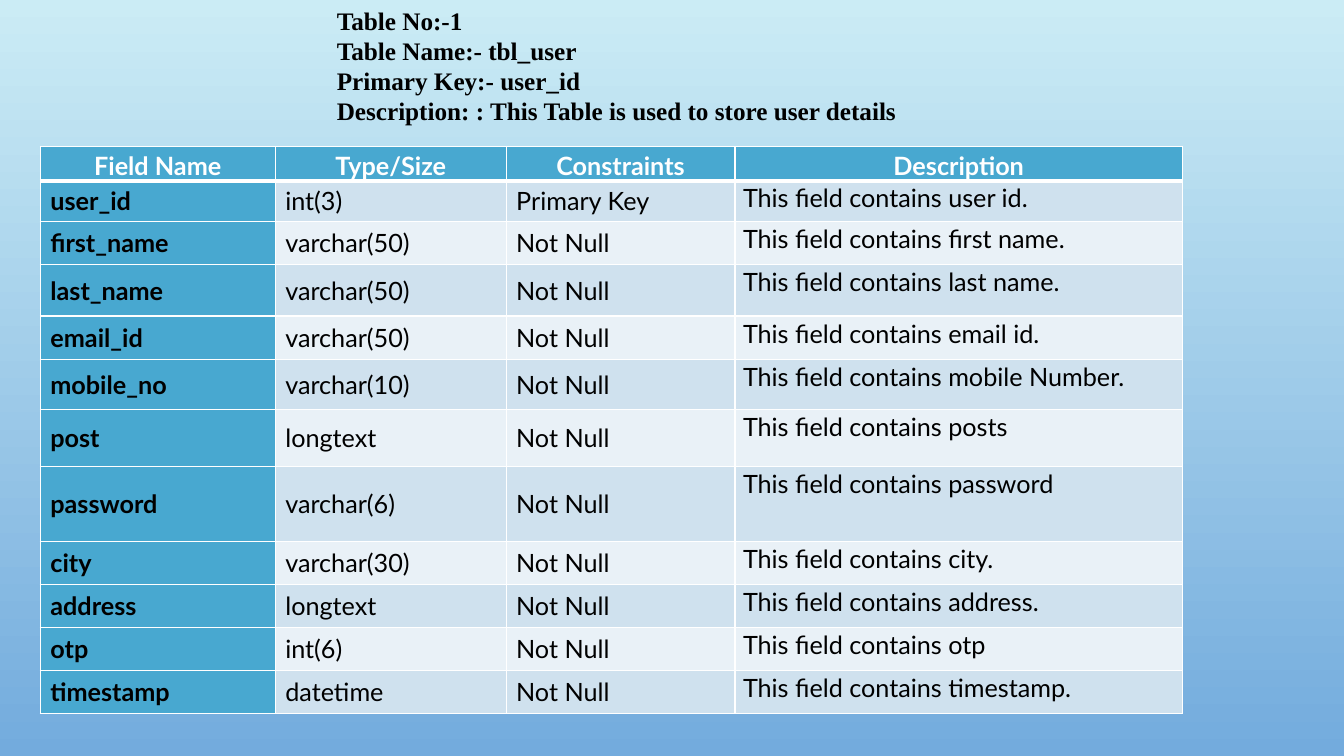
from lxml import etree
from pptx import Presentation, util as u
from pptx.dml.color import RGBColor
from pptx.enum import text
from pptx.oxml.ns import qn

COLORS = {
    "sky": "CBECF5", "horizon": "73ABDD", "accent": "48A8D0",
    "band_dark": "CFE1EE", "band_light": "E9F1F7",
    "ink": "000000", "white": "FFFFFF",
}
SLIDE_SIZE = (13.33, 7.5)
HEADING_BOX = (3.24, 0, 8.5, 1.31)
TABLE_BOX = (0.4, 1.45, 11.33, 5.62)
COLUMN_WIDTHS = (2.33, 2.29, 2.27, 4.44)
ROW_HEIGHTS = (0.34, 0.4, 0.43, 0.51, 0.43, 0.5, 0.56, 0.75, 0.42, 0.43, 0.43, 0.42)

HEADING = [
    "Table No:-1",
    "Table Name:- tbl_user",
    "Primary Key:- user_id",
    "Description: : This Table is used to store user details",
]
HEADERS = ("Field Name", "Type/Size", "Constraints", "Description")
FIELDS = [
    ("user_id", "int(3)", "Primary Key", "user id."),
    ("first_name", "varchar(50)", "Not Null", "first name."),
    ("last_name", "varchar(50)", "Not Null", "last name."),
    ("email_id", "varchar(50)", "Not Null", "email id."),
    ("mobile_no", "varchar(10)", "Not Null", "mobile Number."),
    ("post", "longtext", "Not Null", "posts"),
    ("password", "varchar(6)", "Not Null", "password"),
    ("city", "varchar(30)", "Not Null", "city."),
    ("address", "longtext", "Not Null", "address."),
    ("otp", "int(6)", "Not Null", "otp"),
    ("timestamp", "datetime", "Not Null", "timestamp."),
]

TIGHT_CELL = {
    "margin_left": u.Inches(0.08), "margin_right": u.Inches(0.08),
    "margin_top": 0, "margin_bottom": 0,
}
MIDDLE_CELL = {"vertical_anchor": text.MSO_ANCHOR.MIDDLE}
HEADER_PARAGRAPH = {
    "alignment": text.PP_ALIGN.CENTER, "line_spacing": 1.15, "space_after": u.Pt(8),
}
DESCRIPTION_PARAGRAPH = {"line_spacing": 1.07, "space_after": u.Pt(8)}


def color(name):
    return RGBColor.from_string(COLORS[name])


def apply(target, values):
    for name, value in values.items():
        setattr(target, name, value)


def format_font(font, family, color_name, bold):
    apply(font, {"name": family, "size": u.Pt(18), "bold": bold})
    font.color.rgb = color(color_name)


def set_borders(cell, widths):
    properties = cell._tc.get_or_add_tcPr()
    for index, (side, points) in enumerate(widths.items()):
        line = etree.Element(qn("a:ln" + side), w=str(u.Pt(points)))
        fill = etree.SubElement(line, qn("a:solidFill"))
        etree.SubElement(fill, qn("a:srgbClr"), val=COLORS["white"])
        properties.insert(index, line)


def paint_background(slide):
    fill = slide.background.fill
    fill.gradient()
    fill.gradient_angle = 270
    for stop, name in zip(fill.gradient_stops, ("sky", "horizon")):
        stop.color.rgb = color(name)


def add_heading(slide, box):
    title = slide.shapes.title
    apply(title, dict(zip(("left", "top", "width", "height"), map(u.Inches, box))))
    frame = title.text_frame
    frame.text = "\n".join(HEADING)
    apply(frame, {
        "word_wrap": True,
        "auto_size": text.MSO_AUTO_SIZE.NONE,
        "vertical_anchor": text.MSO_ANCHOR.TOP,
    })
    for paragraph in frame.paragraphs:
        paragraph.alignment = text.PP_ALIGN.LEFT
        format_font(paragraph.runs[0].font, "Times New Roman", "ink", True)


def fill_cell(cell, wording, row, column):
    is_header = row == 0
    is_description = column == len(HEADERS) - 1
    cell.text = wording
    paragraph = cell.text_frame.paragraphs[0]
    apply(cell, TIGHT_CELL if is_header or is_description else MIDDLE_CELL)
    if is_header:
        apply(paragraph, HEADER_PARAGRAPH)
    elif is_description:
        apply(paragraph, DESCRIPTION_PARAGRAPH)
    format_font(paragraph.runs[0].font, "Lato", "white" if is_header else "ink",
                is_header or column == 0)
    band = "band_dark" if row % 2 else "band_light"
    cell.fill.solid()
    cell.fill.fore_color.rgb = color("accent" if is_header or column == 0 else band)
    set_borders(cell, {"L": 1, "R": 1, "T": 3 if row == 1 else 1, "B": 3 if is_header else 1})


def add_field_table(slide, box):
    rows = [HEADERS] + [(*field, f"This field contains {subject}") for *field, subject in FIELDS]
    table = slide.shapes.add_table(len(rows), len(HEADERS), *map(u.Inches, box)).table
    table.first_col = True
    for column, width in zip(table.columns, COLUMN_WIDTHS):
        column.width = u.Inches(width)
    for row, height in zip(table.rows, ROW_HEIGHTS):
        row.height = u.Inches(height)
    for row, wordings in enumerate(rows):
        for column, wording in enumerate(wordings):
            fill_cell(table.cell(row, column), wording, row, column)


def main():
    presentation = Presentation()
    presentation.slide_width, presentation.slide_height = map(u.Inches, SLIDE_SIZE)
    slide = presentation.slides.add_slide(presentation.slide_layouts.get_by_name("Title Only"))
    paint_background(slide)
    add_heading(slide, HEADING_BOX)
    add_field_table(slide, TABLE_BOX)
    presentation.save("out.pptx")


if __name__ == "__main__":
    main()
